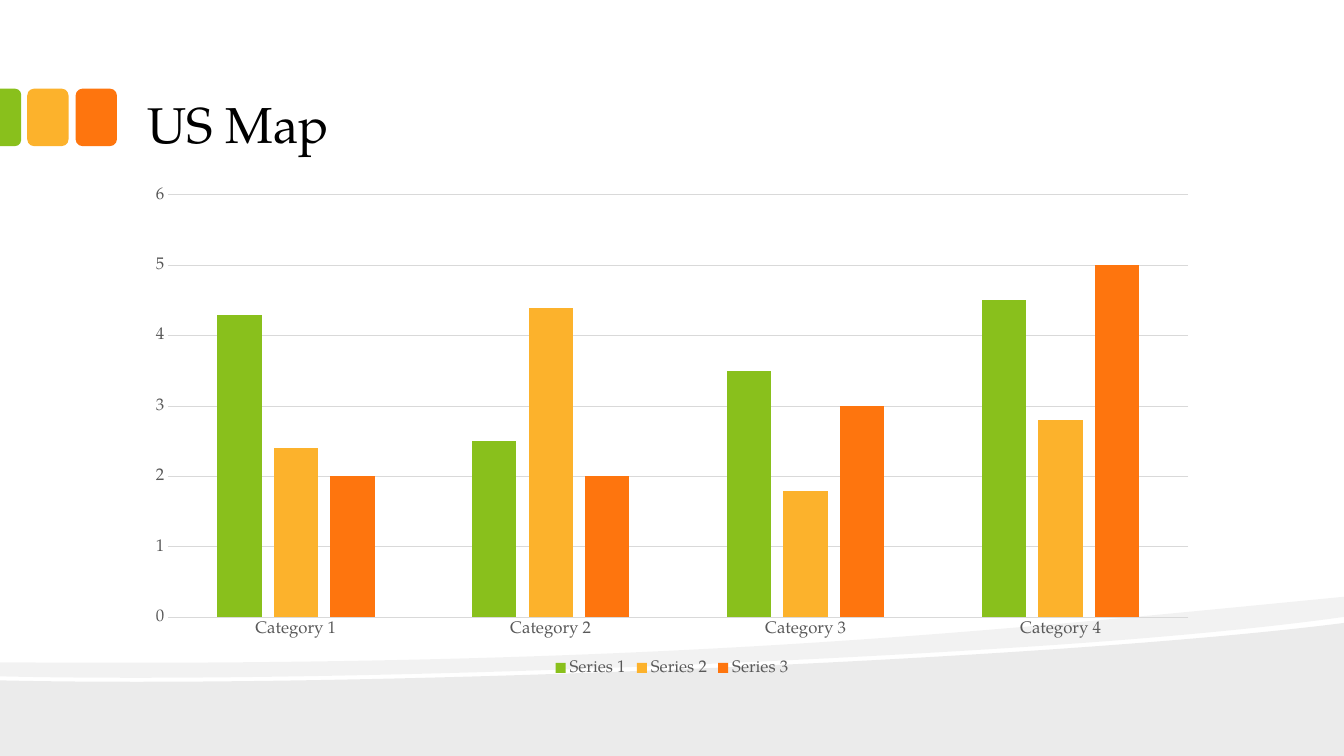
import dataclasses
import typing

import lxml.etree
import pptx
import pptx.chart.data
import pptx.dml.color
import pptx.enum.chart
import pptx.enum.shapes
import pptx.enum.text
import pptx.oxml.ns
import pptx.util

Inches = pptx.util.Inches
qn = pptx.oxml.ns.qn
Point = tuple[float, float]
Kind = pptx.enum.shapes.MSO_SHAPE


@dataclasses.dataclass(frozen=True)
class Theme:
    font: str = "TeX Gyre Pagella"
    title: float = 36
    label: float = 12
    base: float = 10
    line: float = 0.75
    black: str = "000000"
    gray: str = "595959"
    grid: str = "D9D9D9"
    green: str = "89C01C"
    gold: str = "FCB22C"
    orange: str = "FE750E"


@dataclasses.dataclass(frozen=True)
class Wave:
    """A closed outline: one point makes a line, three make a curve."""
    alpha: int
    start: Point
    strokes: list[tuple[Point, ...]]


@dataclasses.dataclass(frozen=True)
class Tab:
    left: float
    top: float
    width: float
    height: float
    color: str
    kind: Kind = Kind.ROUNDED_RECTANGLE
    turn: float = 0


@dataclasses.dataclass(frozen=True)
class Series:
    name: str
    values: tuple[float, ...]
    color: str


THEME = Theme()
WIDE, HIGH = 13.33, 7.5
LEFT, SPAN = WIDE / 10, WIDE * 0.8

WAVES = [
    Wave(8, (WIDE, 6.18), [
        ((WIDE, HIGH),),
        ((0, HIGH),),
        ((0, 6.75),),
        ((3.52, 6.83), (10.42, 6.55), (WIDE, 6.18)),
    ]),
    Wave(5, (WIDE, 5.92), [
        ((WIDE, 6.12),),
        ((12.55, 6.23), (11.49, 6.33), (10.29, 6.41)),
        ((6.98, 6.63), (2.58, 6.77), (0, 6.71)),
        ((0, 6.57),),
        ((6.52, 6.62), (9.71, 6.27), (WIDE, 5.92)),
    ]),
]
TABS = [
    Tab(0.75, 0.88, 0.41, 0.57, THEME.orange),
    Tab(0.27, 0.88, 0.41, 0.57, THEME.gold),
    Tab(-0.18, 1.06, 0.57, 0.21, THEME.green,
        Kind.ROUND_2_SAME_RECTANGLE, 90),
]
GROUPS = [f"Category {n}" for n in range(1, 5)]
SERIES = [
    Series("Series 1", (4.3, 2.5, 3.5, 4.5), THEME.green),
    Series("Series 2", (2.4, 4.4, 1.8, 2.8), THEME.gold),
    Series("Series 3", (2, 2, 3, 5), THEME.orange),
]


def paint(fill: typing.Any, color: str) -> None:
    fill.solid()
    fill.fore_color.rgb = pptx.dml.color.RGBColor.from_string(color)


def style(font: typing.Any, size: float, color: str) -> None:
    font.name = THEME.font
    font.size = pptx.util.Pt(size)
    font.color.rgb = pptx.dml.color.RGBColor.from_string(color)


def rule(line: typing.Any) -> None:
    """Give a chart line the thin grid look."""
    paint(line.fill, THEME.grid)
    line.width = pptx.util.Pt(THEME.line)


def bend(shape: typing.Any, wave: Wave) -> None:
    """Turn each three-point stroke of the outline into a cubic curve."""
    lines = iter(list(shape._element.iter(qn("a:lnTo"))))
    for stroke in wave.strokes:
        group = [next(lines) for _ in stroke]
        if len(group) == 3:
            curve = lxml.etree.Element(qn("a:cubicBezTo"))
            group[0].addprevious(curve)
            for line in group:
                curve.append(line[0])
                line.getparent().remove(line)


def draw_wave(slide: typing.Any, wave: Wave) -> None:
    points = [wave.start] + [p for stroke in wave.strokes for p in stroke]
    start, *rest = [(Inches(x), Inches(y)) for x, y in points]
    form = slide.shapes.build_freeform(*start)
    form.add_line_segments(rest, close=True)
    shape = form.convert_to_shape()
    bend(shape, wave)
    shape.shadow.inherit = False
    shape.line.fill.background()
    paint(shape.fill, THEME.black)
    color = next(shape._element.spPr.iter(qn("a:srgbClr")))
    lxml.etree.SubElement(color, qn("a:alpha"), val=str(wave.alpha * 1000))


def draw_tab(slide: typing.Any, tab: Tab) -> None:
    box = map(Inches, (tab.left, tab.top, tab.width, tab.height))
    shape = slide.shapes.add_shape(tab.kind, *box)
    shape.shadow.inherit = False
    shape.rotation = tab.turn
    if tab.turn:
        shape.adjustments[0] = 0.29
    paint(shape.fill, tab.color)
    shape.line.fill.background()


def add_text(slide: typing.Any, text: str, *, left: float, top: float,
             width: float, height: float, size: float, color: str) -> None:
    box = slide.shapes.add_textbox(*map(Inches, (left, top, width, height)))
    frame = box.text_frame
    frame.word_wrap = True
    frame.vertical_anchor = pptx.enum.text.MSO_ANCHOR.BOTTOM
    frame.margin_left = frame.margin_right = Inches(0.13)
    frame.margin_top = frame.margin_bottom = Inches(0.07)
    run = frame.paragraphs[0].add_run()
    run.text = text
    style(run.font, size, color)


def draw_chart(slide: typing.Any) -> None:
    enum = pptx.enum.chart
    data = pptx.chart.data.CategoryChartData()
    data.categories = GROUPS
    for item in SERIES:
        data.add_series(item.name, item.values)
    chart = slide.shapes.add_chart(
        enum.XL_CHART_TYPE.COLUMN_CLUSTERED,
        *map(Inches, (LEFT, 1.75, SPAN, 5)), data).chart
    style(chart.font, THEME.base, THEME.black)
    chart.has_title = False
    chart.has_legend = True
    chart.legend.position = enum.XL_LEGEND_POSITION.BOTTOM
    chart.legend.include_in_layout = False
    style(chart.legend.font, THEME.label, THEME.gray)

    plot = chart.plots[0]
    plot.gap_width, plot.overlap = 219, -27
    plot.vary_by_categories = False
    for bars, item in zip(plot.series, SERIES):
        paint(bars.format.fill, item.color)
        bars.invert_if_negative = False

    for axis in (chart.category_axis, chart.value_axis):
        axis.major_tick_mark = axis.minor_tick_mark = enum.XL_TICK_MARK.NONE
        style(axis.tick_labels.font, THEME.label, THEME.gray)
    rule(chart.category_axis.format.line)
    scale = chart.value_axis
    scale.format.line.fill.background()
    scale.has_major_gridlines = True
    rule(scale.major_gridlines.format.line)


def main() -> None:
    deck = pptx.Presentation()
    deck.slide_width, deck.slide_height = Inches(WIDE), Inches(HIGH)
    slide = deck.slides.add_slide(deck.slide_layouts[6])
    for wave in WAVES:
        draw_wave(slide, wave)
    for tab in TABS:
        draw_tab(slide, tab)
    add_text(slide, "US Map", left=LEFT, top=0.17, width=SPAN, height=1.42,
             size=THEME.title, color=THEME.black)
    draw_chart(slide)
    deck.save("out.pptx")


if __name__ == "__main__":
    main()
